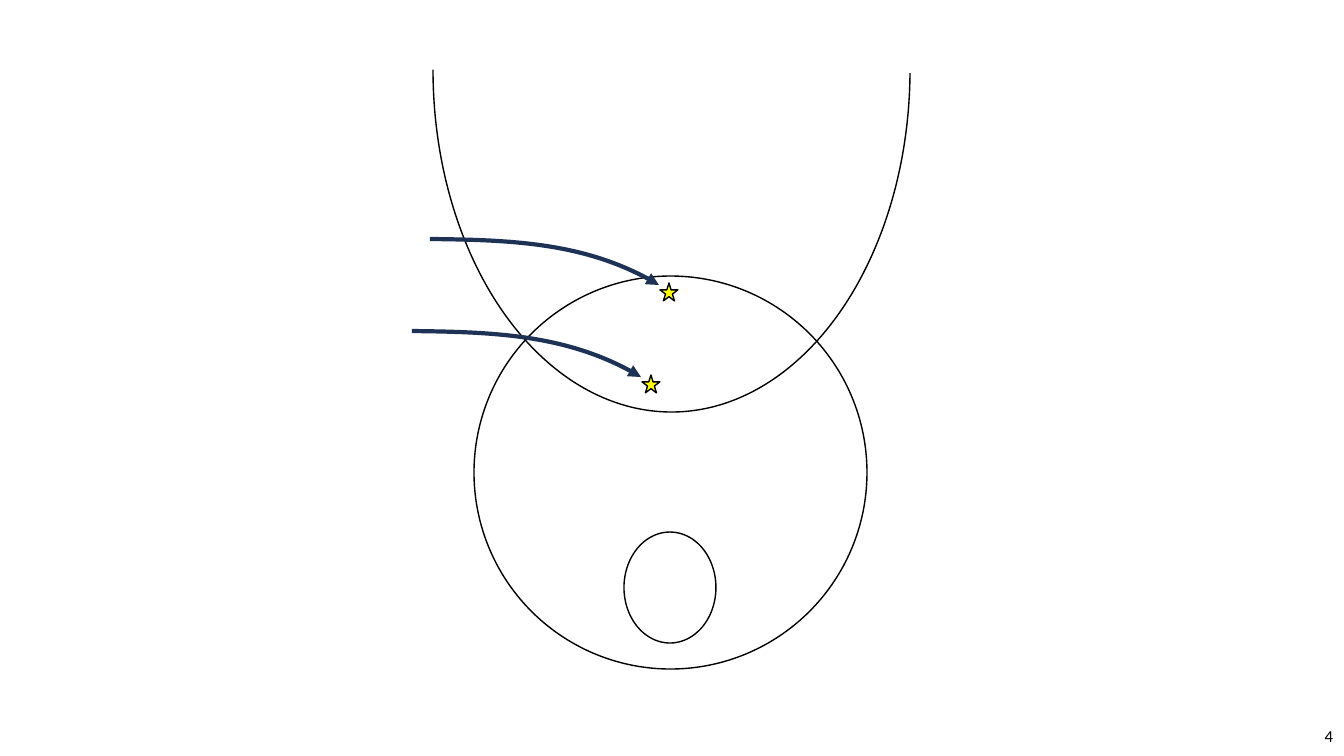
"""Draw two overlapping outlines with two marked points and their arrows."""
from dataclasses import dataclass
from typing import Any, Optional

import pptx
import pptx.dml.color
import pptx.enum.shapes
import pptx.enum.text
import pptx.oxml
import pptx.oxml.ns
import pptx.util

KIND = pptx.enum.shapes.MSO_SHAPE
ALIGN = pptx.enum.text.PP_ALIGN
ANCHOR = pptx.enum.text.MSO_ANCHOR


@dataclass(frozen=True)
class Theme:
    black: str = "000000"
    white: str = "FFFFFF"
    yellow: str = "FFFF00"
    navy: str = "1E3256"
    font: str = "Calibri"
    small: int = 12
    thin: int = 1
    thick: int = 3


@dataclass(frozen=True)
class Form:
    kind: Any
    left: int
    top: int
    width: int
    height: int
    fill: Optional[str] = None
    turn: int = 0
    sweep: tuple[float, ...] = ()


@dataclass(frozen=True)
class Mark:
    left: int
    top: int


THEME = Theme()
BENDS = ((77, 1), (158, 3), (229, 46))
FORMS = (
    Form(KIND.OVAL, 474, 276, 393, 393, THEME.white),
    Form(KIND.OVAL, 624, 532, 92, 111, THEME.white),
    Form(KIND.ARC, 433, -273, 477, 685, turn=180, sweep=(108.51, 0)),
)
MARKS = (Mark(430, 239), Mark(412, 331))


def px(count: int) -> int:
    return round(count * 914400 / 100.8)


def rgb(code: str) -> pptx.dml.color.RGBColor:
    return pptx.dml.color.RGBColor.from_string(code)


def paint(shape: Any, fill: Optional[str], line: str, width: int) -> None:
    shape.shadow.inherit = False
    if fill:
        shape.fill.solid()
        shape.fill.fore_color.rgb = rgb(fill)
    else:
        shape.fill.background()
    shape.line.color.rgb = rgb(line)
    shape.line.width = pptx.util.Pt(width)


def draw(shapes: Any, form: Form) -> None:
    shape = shapes.add_shape(
        form.kind, px(form.left), px(form.top), px(form.width), px(form.height)
    )
    for index, value in enumerate(form.sweep):
        shape.adjustments[index] = value
    shape.rotation = form.turn
    paint(shape, form.fill, THEME.black, THEME.thin)


def curve(shapes: Any, mark: Mark) -> None:
    end = BENDS[-1]
    pen = shapes.build_freeform(px(mark.left), px(mark.top))
    pen.add_line_segments([(px(mark.left + end[0]), px(mark.top + end[1]))], close=False)
    shape = pen.convert_to_shape()
    paint(shape, None, THEME.navy, THEME.thick)
    space = pptx.oxml.ns.nsdecls("a")
    points = "".join(f'<a:pt x="{px(x)}" y="{px(y)}"/>' for x, y in BENDS)
    bend = pptx.oxml.parse_xml(f"<a:cubicBezTo {space}>{points}</a:cubicBezTo>")
    step = next(shape.element.iter(pptx.oxml.ns.qn("a:lnTo")))
    step.getparent().replace(step, bend)
    head = pptx.oxml.parse_xml(f'<a:tailEnd {space} type="triangle"/>')
    shape.line._get_or_add_ln().append(head)


def point(shapes: Any, mark: Mark) -> None:
    group = shapes.add_group_shape()
    star = Form(KIND.STAR_5_POINT, mark.left + 230, mark.top + 44, 18, 18, THEME.yellow)
    draw(group.shapes, star)
    curve(group.shapes, mark)


def write(shapes: Any, text: str, left: int, top: int, width: int, height: int,
          *, size: int, color: str, align: Any) -> None:
    box = shapes.add_textbox(px(left), px(top), px(width), px(height))
    frame = box.text_frame
    frame.word_wrap = True
    frame.vertical_anchor = ANCHOR.MIDDLE
    line = frame.paragraphs[0]
    line.alignment = align
    run = line.add_run()
    run.text = text
    run.font.name = THEME.font
    run.font.size = pptx.util.Pt(size)
    run.font.color.rgb = rgb(color)


def main() -> None:
    deck = pptx.Presentation()
    deck.slide_width, deck.slide_height = px(1344), px(756)
    shapes = deck.slides.add_slide(deck.slide_layouts[6]).shapes
    write(shapes, "4", 1041, 716, 302, 40,
          size=THEME.small, color=THEME.black, align=ALIGN.RIGHT)
    for form in FORMS:
        draw(shapes, form)
    for mark in MARKS:
        point(shapes, mark)
    deck.save("out.pptx")


if __name__ == "__main__":
    main()
